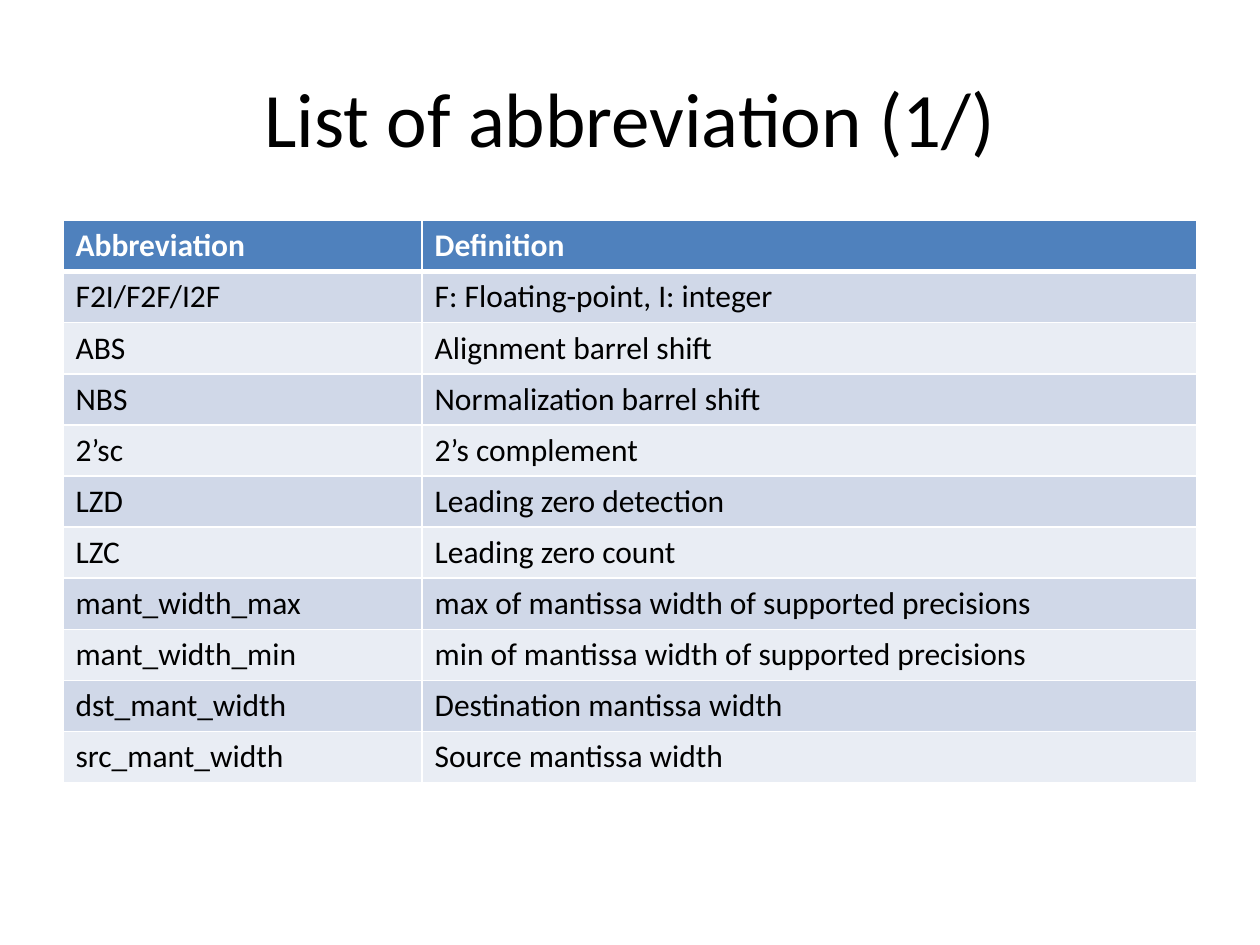
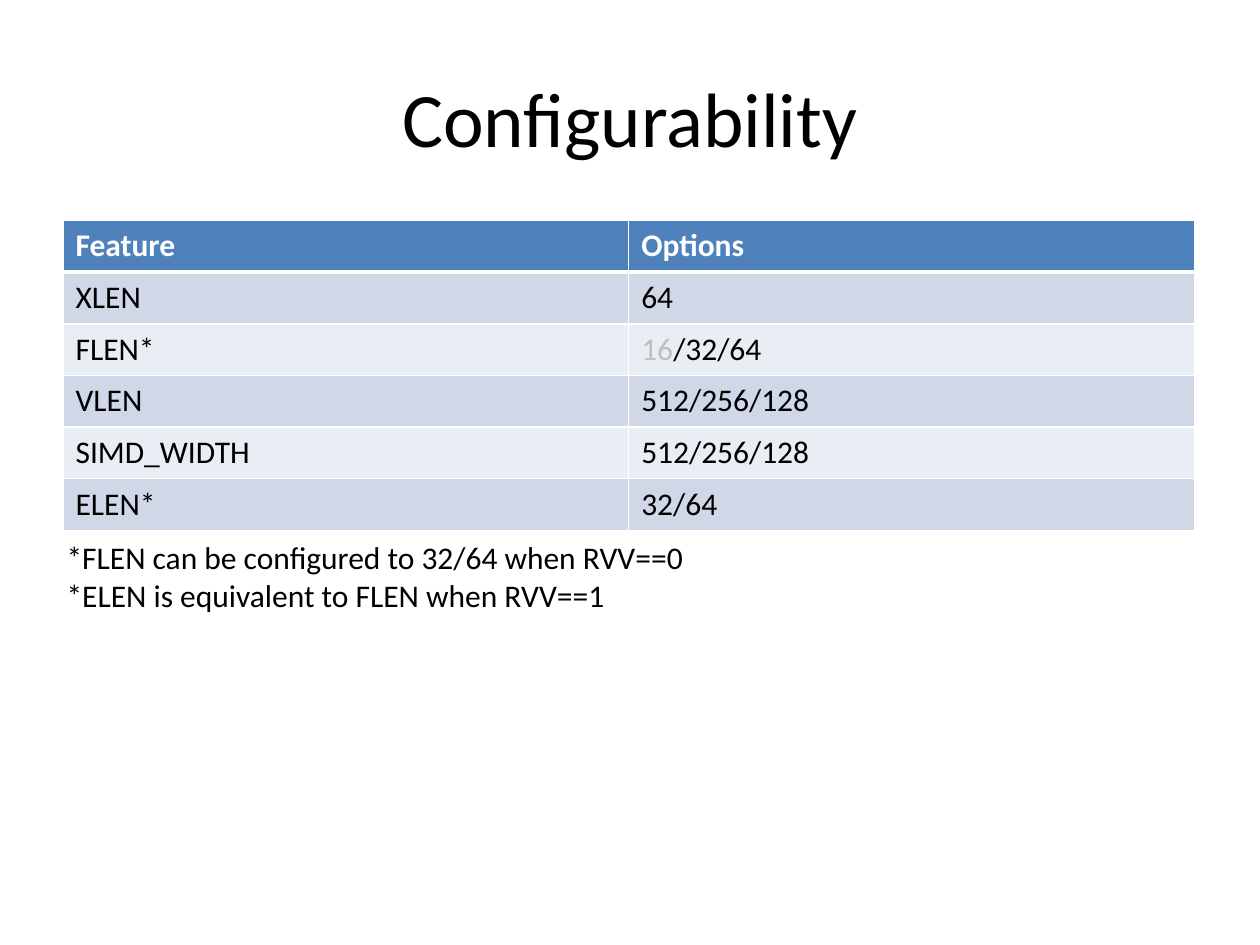
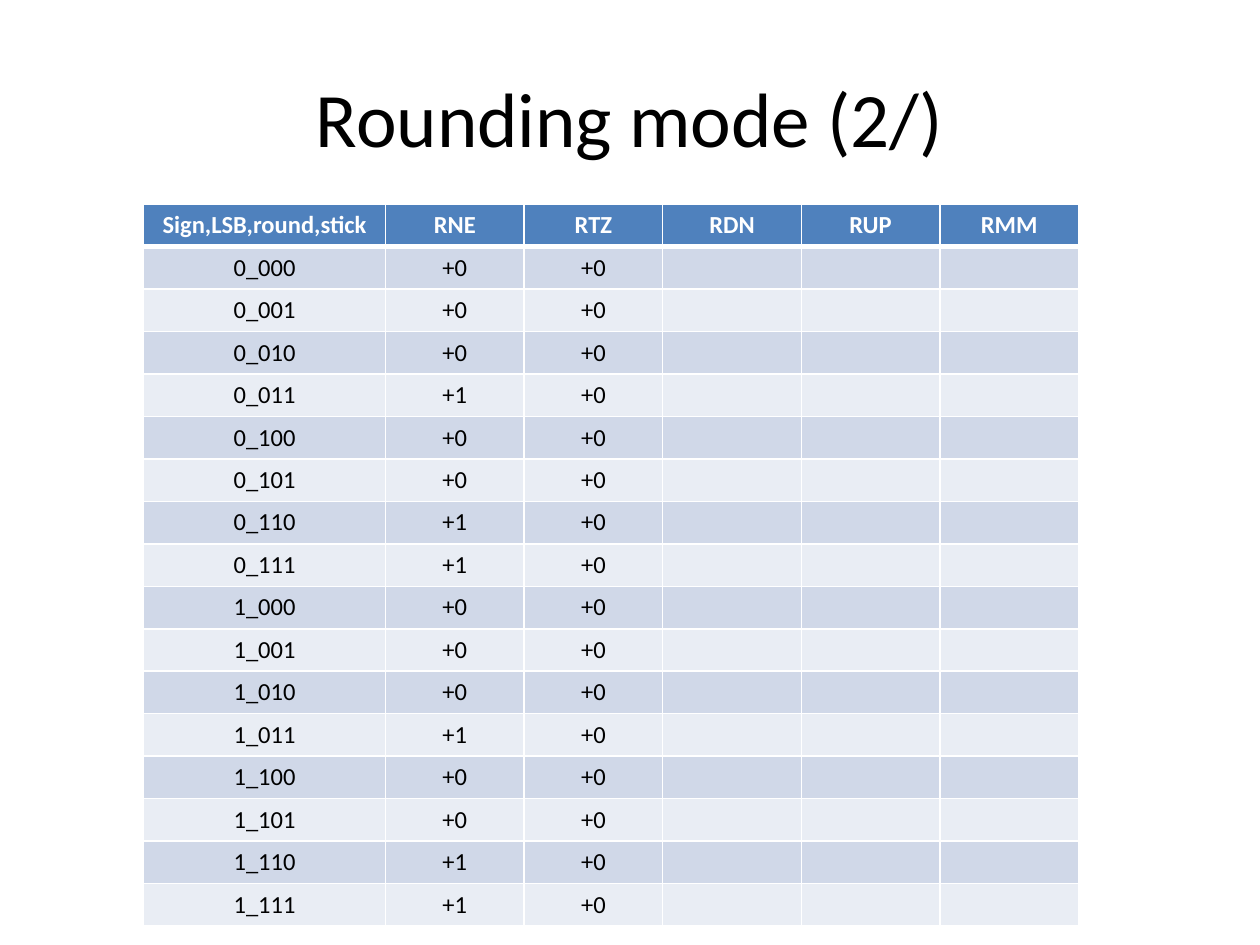
import dataclasses

import lxml.etree
import pptx
import pptx.dml.color
import pptx.enum.text
import pptx.oxml.ns
import pptx.util

PX = 9144  # EMU per px, 100 px to the inch
TITLE_ONLY = 5
ALIGN = pptx.enum.text.PP_ALIGN


@dataclasses.dataclass(frozen=True)
class Theme:
    font: str = "Calibri"
    ink: str = "000000"
    white: str = "FFFFFF"
    muted: str = "BFBFBF"
    header: str = "4F81BD"
    bands: tuple = ("D0D8E8", "E9EDF4")
    title_size: int = 44
    text_size: int = 18
    dense_size: int = 14
    rule: int = 1
    header_rule: int = 3


THEME = Theme()

# Content of the three tables
ABBREVIATIONS = [
    ("Abbreviation", "Definition"),
    ("F2I/F2F/I2F", "F: Floating-point, I: integer"),
    ("ABS", "Alignment barrel shift"),
    ("NBS", "Normalization barrel shift"),
    ("2’sc", "2’s complement"),
    ("LZD", "Leading zero detection"),
    ("LZC", "Leading zero count"),
    ("mant_width_max", "max of mantissa width of supported precisions"),
    ("mant_width_min", "min of mantissa width of supported precisions"),
    ("dst_mant_width", "Destination mantissa width"),
    ("src_mant_width", "Source mantissa width"),
]
# A cell with several runs is a list of (text, colour)
OPTIONS = [
    ("Feature", "Options"),
    ("XLEN", "64"),
    ("FLEN*", [("16", THEME.muted), ("/32/64", THEME.ink)]),
    ("VLEN", "512/256/128"),
    ("SIMD_WIDTH", "512/256/128"),
    ("ELEN*", "32/64"),
]
OPTION_NOTES = [
    "*FLEN can be configured to 32/64 when RVV==0",
    "*ELEN is equivalent to FLEN when RVV==1",
]
ROUNDING_HEADER = ("Sign,LSB,round,stick", "RNE", "RTZ", "RDN", "RUP", "RMM")
ROUND_UP_BITS = ("011", "110", "111")


def rounding_rows():
    """One row for each sign and each LSB, round and sticky bit."""
    rows = [ROUNDING_HEADER]
    for sign in range(2):
        for value in range(8):
            bits = f"{value:03b}"
            nearest = "+1" if bits in ROUND_UP_BITS else "+0"
            rows.append((f"{sign}_{bits}", nearest, "+0", "", "", ""))
    return rows


# Text and cell helpers
def rgb(colour):
    return pptx.dml.color.RGBColor.from_string(colour)


def add_run(paragraph, text, size, colour=THEME.ink, bold=False):
    run = paragraph.add_run()
    run.text = text
    run.font.name = THEME.font
    run.font.size = pptx.util.Pt(size)
    run.font.bold = bold
    run.font.color.rgb = rgb(colour)


def add_child(parent, tag, **attributes):
    return lxml.etree.SubElement(parent, pptx.oxml.ns.qn(tag), **attributes)


def draw_borders(cell, top, bottom):
    properties = cell._tc.get_or_add_tcPr()
    widths = {"L": THEME.rule, "R": THEME.rule, "T": top, "B": bottom}
    for side, width in widths.items():
        line = add_child(properties, f"a:ln{side}", w=str(pptx.util.Pt(width)))
        add_child(add_child(line, "a:solidFill"), "a:srgbClr", val=THEME.white)


def fill_cell(cell, content, row_index, size, align):
    is_header = row_index == 0
    draw_borders(
        cell,
        top=THEME.header_rule if row_index == 1 else THEME.rule,
        bottom=THEME.header_rule if is_header else THEME.rule,
    )
    cell.fill.solid()
    background = THEME.header if is_header else THEME.bands[(row_index - 1) % 2]
    cell.fill.fore_color.rgb = rgb(background)

    paragraph = cell.text_frame.paragraphs[0]
    paragraph.alignment = align
    if not content:
        # The end mark sets the height of an empty cell
        add_child(paragraph._p, "a:endParaRPr", sz=str(size * 100))
        return
    if isinstance(content, str):
        content = [(content, THEME.white if is_header else THEME.ink)]
    for text, colour in content:
        add_run(paragraph, text, size, colour, bold=is_header)


# Slide elements
def add_titled_slide(deck, heading):
    slide = deck.slides.add_slide(deck.slide_layouts[TITLE_ONLY])
    title = slide.shapes.title
    title.left, title.top = 50 * PX, 30 * PX
    title.width, title.height = 900 * PX, 125 * PX
    title.text_frame.vertical_anchor = pptx.enum.text.MSO_ANCHOR.MIDDLE
    paragraph = title.text_frame.paragraphs[0]
    paragraph.alignment = ALIGN.CENTER
    add_run(paragraph, heading, THEME.title_size)
    return slide


def add_banded_table(slide, rows, left, top, column_widths, row_height,
                     size=THEME.text_size, align=ALIGN.LEFT):
    table = slide.shapes.add_table(
        len(rows), len(column_widths), left * PX, top * PX,
        sum(column_widths) * PX, len(rows) * row_height * PX,
    ).table
    for column, width in zip(table.columns, column_widths):
        column.width = width * PX
    for row_index, row in enumerate(rows):
        for column_index, content in enumerate(row):
            cell = table.cell(row_index, column_index)
            fill_cell(cell, content, row_index, size, align)


def add_notes_below(slide, lines, left, top, width, height):
    notes = slide.shapes.add_textbox(left * PX, top * PX, width * PX, height * PX)
    frame = notes.text_frame
    frame.word_wrap = False
    frame.auto_size = pptx.enum.text.MSO_AUTO_SIZE.SHAPE_TO_FIT_TEXT
    for index, line in enumerate(lines):
        paragraph = frame.add_paragraph() if index else frame.paragraphs[0]
        add_run(paragraph, line, THEME.text_size)


def main():
    deck = pptx.Presentation()
    deck.slide_width, deck.slide_height = 1000 * PX, 750 * PX

    # Abbreviations
    slide = add_titled_slide(deck, "List of abbreviation (1/)")
    add_banded_table(slide, ABBREVIATIONS, 50, 175, [285, 615], 40)

    # Configuration options
    slide = add_titled_slide(deck, "Configurability")
    add_banded_table(slide, OPTIONS, 50, 175, [449, 449], 41)
    add_notes_below(slide, OPTION_NOTES, 43, 422, 516, 71)

    # Rounding modes
    slide = add_titled_slide(deck, "Rounding mode (2/)")
    add_banded_table(slide, rounding_rows(), 114, 162, [192] + [110] * 5, 32,
                     size=THEME.dense_size, align=ALIGN.CENTER)

    deck.save("out.pptx")


if __name__ == "__main__":
    main()
